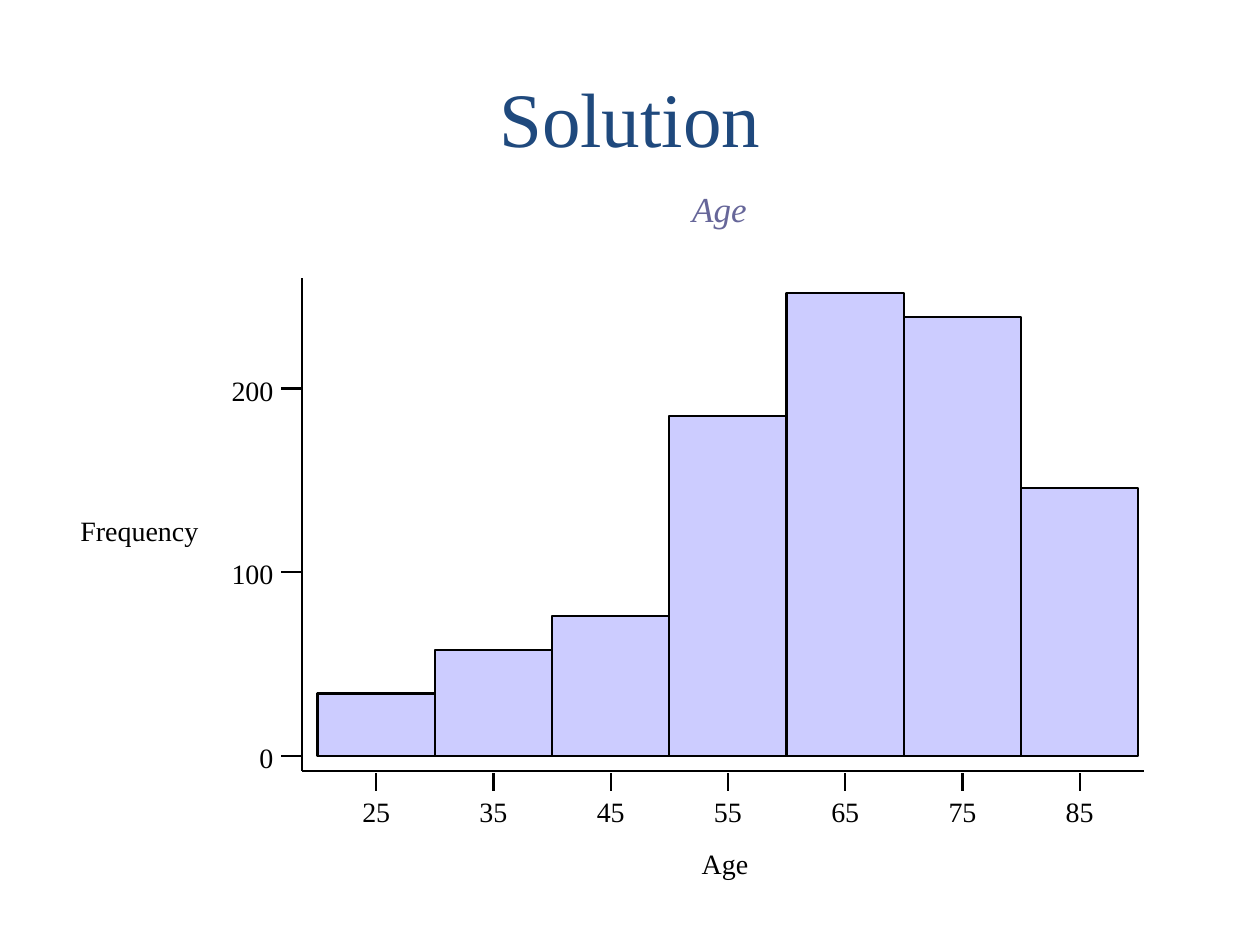
from pptx import Presentation
from pptx.dml.color import RGBColor
from pptx.enum.shapes import MSO_CONNECTOR, MSO_SHAPE
from pptx.enum.text import MSO_ANCHOR, PP_ALIGN
from pptx.oxml.ns import qn
from pptx.util import Pt
from lxml import etree

STRAIGHT = MSO_CONNECTOR.STRAIGHT
RECTANGLE = MSO_SHAPE.RECTANGLE
LEFT, CENTER, RIGHT = PP_ALIGN.LEFT, PP_ALIGN.CENTER, PP_ALIGN.RIGHT
TOP, MIDDLE = MSO_ANCHOR.TOP, MSO_ANCHOR.MIDDLE

FONT = "Times New Roman"
BLACK, NAVY, PURPLE, LAVENDER = "000000", "1F497D", "666699", "CCCCFF"
LINE_WIDTH = 1.25

FREQUENCIES = {25: 34, 35: 57.5, 45: 76, 55: 185, 65: 252, 75: 239, 85: 146}
FREQUENCY_TICKS = (200, 100, 0)

BARS_LEFT, BAR_WIDTH = 181.5, 67
BASELINE, POINTS_PER_CASE = 432, 1.05
AXIS_X, AXIS_TOP, AXIS_Y, AXIS_RIGHT = 172.7, 159, 440.5, 653.8


def color(hex_value):
    return RGBColor.from_string(hex_value)


def add_text(slide, text, left, top, width, height, size=16, hex_color=BLACK,
             align=CENTER, anchor=TOP, inset=True, italic=False):
    box = slide.shapes.add_textbox(Pt(left), Pt(top), Pt(width), Pt(height))
    frame = box.text_frame
    frame.word_wrap = True
    frame.vertical_anchor = anchor
    if not inset:
        frame.margin_left = frame.margin_right = Pt(0)
        frame.margin_top = frame.margin_bottom = Pt(0)
    paragraph = frame.paragraphs[0]
    paragraph.text = text
    paragraph.alignment = align
    font = paragraph.font
    font.name, font.size, font.italic = FONT, Pt(size), italic
    font.color.rgb = color(hex_color)


def add_line(slide, x1, y1, x2, y2):
    line = slide.shapes.add_connector(STRAIGHT, Pt(x1), Pt(y1), Pt(x2), Pt(y2))
    line.line.color.rgb = color(BLACK)
    line.line.width = Pt(LINE_WIDTH)
    etree.SubElement(line._element.spPr, qn("a:effectLst"))


def add_bar(slide, left, frequency):
    height = frequency * POINTS_PER_CASE
    bar = slide.shapes.add_shape(RECTANGLE, Pt(left), Pt(BASELINE - height),
                                 Pt(BAR_WIDTH), Pt(height))
    bar.shadow.inherit = False
    bar.fill.solid()
    bar.fill.fore_color.rgb = color(LAVENDER)
    bar.line.color.rgb = color(BLACK)
    bar.line.width = Pt(LINE_WIDTH)


def add_age_axis(slide):
    for index, age in enumerate(FREQUENCIES):
        middle = BARS_LEFT + (index + 0.5) * BAR_WIDTH
        add_line(slide, middle, 442, middle, 452)
        add_text(slide, str(age), middle - 8, 454.3, 16, 19.4, inset=False)
    add_line(slide, AXIS_X, AXIS_Y, AXIS_RIGHT, AXIS_Y)


def add_frequency_axis(slide):
    for tick in FREQUENCY_TICKS:
        y = BASELINE - tick * POINTS_PER_CASE
        add_line(slide, AXIS_X, y, AXIS_X - 12, y)
        add_text(slide, str(tick), 132.2, y - 8.7, 24, 19.4, align=RIGHT, inset=False)
    add_line(slide, AXIS_X, AXIS_Y, AXIS_X, AXIS_TOP)


def add_histogram(slide):
    add_age_axis(slide)
    add_frequency_axis(slide)
    for index, frequency in enumerate(FREQUENCIES.values()):
        add_bar(slide, BARS_LEFT + index * BAR_WIDTH, frequency)
    add_text(slide, "Frequency", 38.9, 290.2, 82, 26.6, align=LEFT)
    add_text(slide, "Age", 174.2, 480.2, 480.2, 26.6)
    add_text(slide, "Age", 172.1, 103.7, 478.1, 31.7, 20, PURPLE, italic=True)


def main():
    presentation = Presentation()
    presentation.slide_width, presentation.slide_height = Pt(720), Pt(540)
    slide = presentation.slides.add_slide(presentation.slide_layouts[6])
    add_text(slide, "Solution", 36, 21.6, 648, 90, 44, NAVY, anchor=MIDDLE)
    add_histogram(slide)
    presentation.save("out.pptx")


if __name__ == "__main__":
    main()
